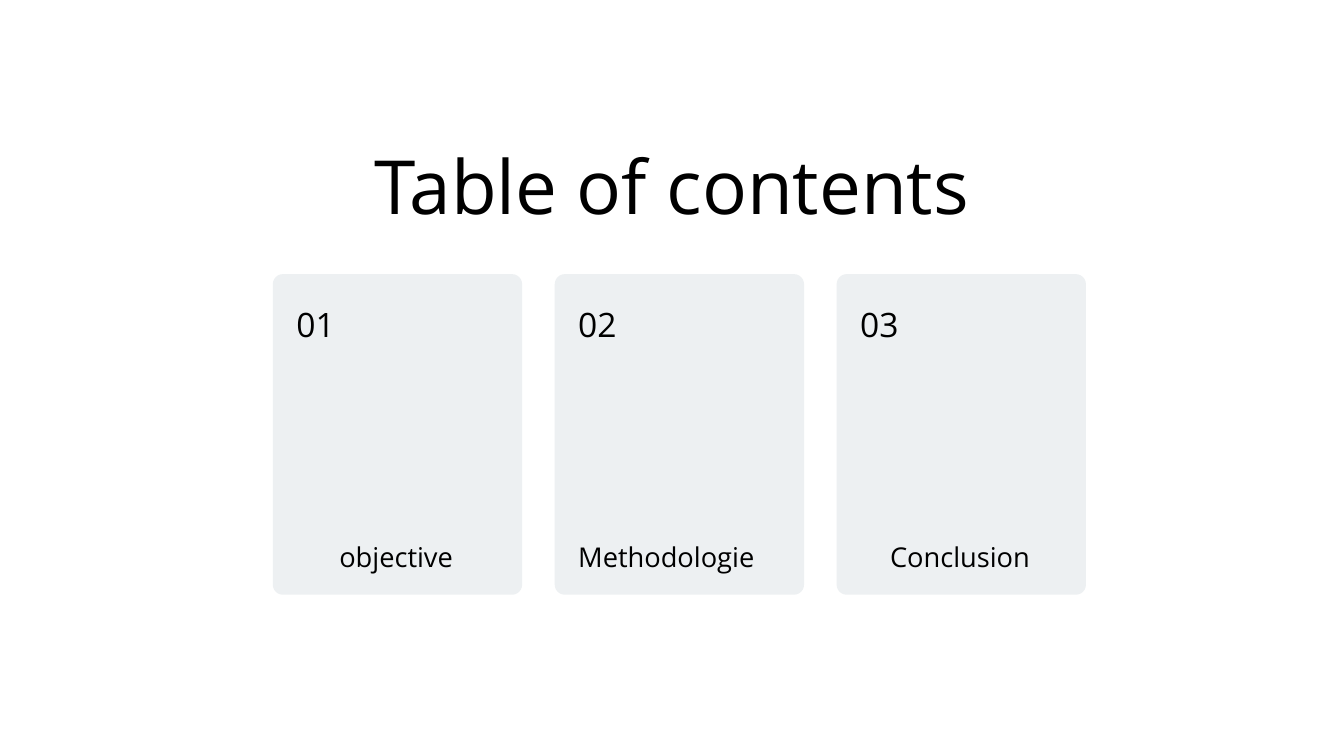
from pptx import Presentation
from pptx.dml.color import RGBColor
from pptx.enum.shapes import MSO_SHAPE
from pptx.enum.text import MSO_AUTO_SIZE, PP_ALIGN
from pptx.util import Inches, Pt

CARD_LEFT, CARD_TOP = 4.06, 4.08
CARD_WIDTH, CARD_HEIGHT = 3.71, 4.77
CARD_STEP = 4.195
CORNER_RADIUS = 0.15
PADDING = 0.35


def color(hex_value):
    return RGBColor.from_string(hex_value)


def add_text(text, left, top, width, height, size, line_spacing, align=PP_ALIGN.LEFT):
    box = slide.shapes.add_textbox(Inches(left), Inches(top), Inches(width), Inches(height))
    frame = box.text_frame
    frame.margin_left = frame.margin_right = frame.margin_top = frame.margin_bottom = 0
    frame.word_wrap = True
    frame.auto_size = MSO_AUTO_SIZE.SHAPE_TO_FIT_TEXT
    paragraph = frame.paragraphs[0]
    paragraph.text = text
    paragraph.alignment = align
    paragraph.line_spacing = Pt(line_spacing)
    paragraph.font.name = "Open Sans"
    paragraph.font.size = Pt(size)
    paragraph.font.color.rgb = color("000000")


prs = Presentation()
prs.slide_width, prs.slide_height = Inches(20), Inches(11.25)
slide = prs.slides.add_slide(prs.slide_layouts[6])

add_text("Table of contents", 4.06, 2.08, 11.88, 1.33, 80, 96, PP_ALIGN.CENTER)

sections = [
    ("objective", PP_ALIGN.CENTER),
    ("Methodologie", PP_ALIGN.LEFT),
    ("Conclusion", PP_ALIGN.CENTER),
]
for index, (section, align) in enumerate(sections):
    left = CARD_LEFT + index * CARD_STEP
    card = slide.shapes.add_shape(
        MSO_SHAPE.ROUNDED_RECTANGLE,
        Inches(left), Inches(CARD_TOP), Inches(CARD_WIDTH), Inches(CARD_HEIGHT),
    )
    card.adjustments[0] = CORNER_RADIUS / CARD_WIDTH
    card.shadow.inherit = False
    card.fill.solid()
    card.fill.fore_color.rgb = color("EDF0F2")
    card.line.fill.background()

    add_text(f"{index + 1:02}", left + PADDING, 4.34, 0.8, 0.73, 36, 56.5)
    add_text(section, left + PADDING, 8, 2.97, 0.51, 29.2, 38, align)

prs.save("out.pptx")
